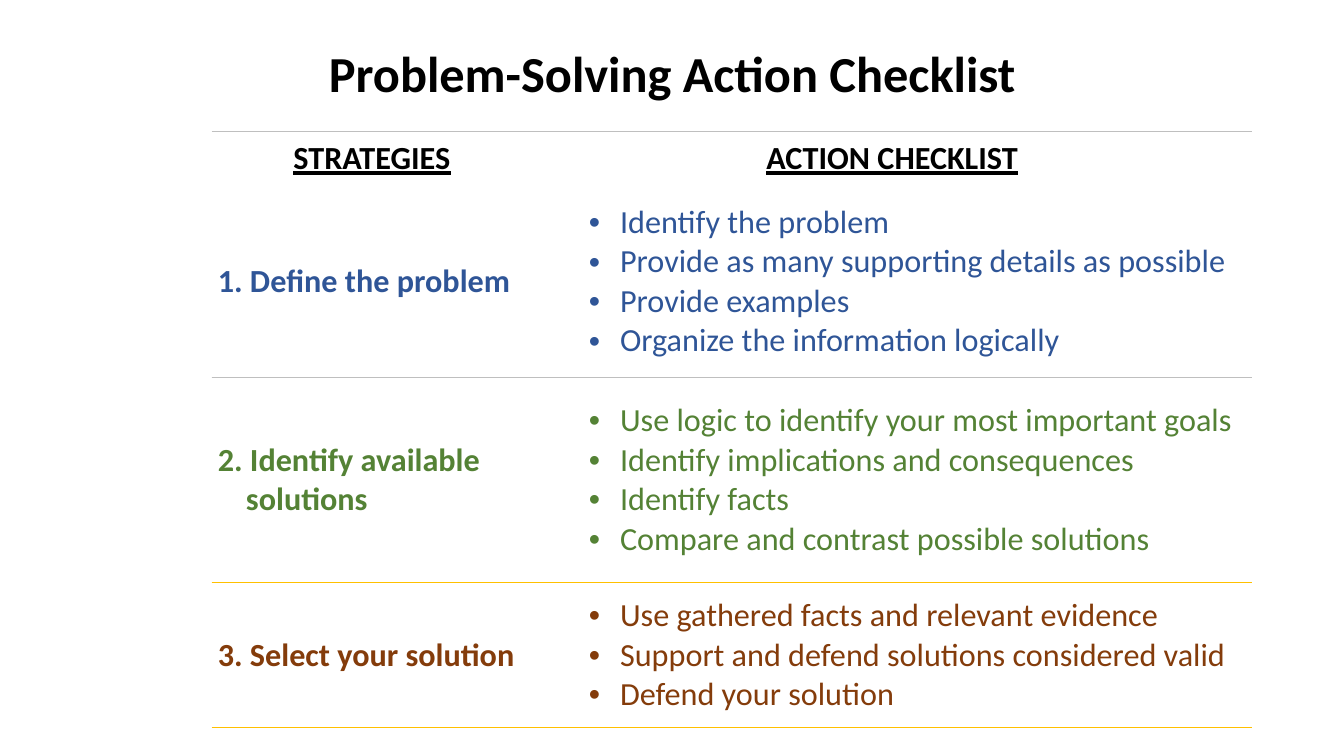
from dataclasses import dataclass

import pptx
import pptx.dml.color
import pptx.enum.text
import pptx.oxml
import pptx.oxml.ns
import pptx.slide
import pptx.table
import pptx.text.text
import pptx.util

Inches = pptx.util.Inches
PP_ALIGN = pptx.enum.text.PP_ALIGN
MIDDLE = pptx.enum.text.MSO_ANCHOR.MIDDLE
DRAWING_NS = pptx.oxml.ns.nsdecls("a")

FONT = "Calibri"
BLACK = "000000"
GOLD = "FFC000"
GRAY = "BFBFBF"
PLAIN_TABLE_STYLE = "{2D5ABB26-0587-4C30-8999-92F81FD0307C}"
TABLE_LEFT = 2.1
COLUMN_WIDTHS = (3.18, 7.14)
HEADING_HEIGHT = 0.55
HEADINGS = ("STRATEGIES", "ACTION CHECKLIST")


@dataclass(frozen=True)
class Rule:
    color: str
    points: float


@dataclass(frozen=True)
class Step:
    strategy: tuple[str, ...]
    actions: tuple[str, ...]
    color: str
    top: float
    height: float
    rule_above: Rule
    rule_below: Rule
    has_headings: bool = False


THIN_RULE = Rule(GRAY, 0.75)
GOLD_RULE = Rule(GOLD, 1)

STEPS = (
    Step(
        ("1. Define the problem",),
        (
            "Identify the problem",
            "Provide as many supporting details as possible",
            "Provide examples",
            "Organize the information logically",
        ),
        "2F5597", 1.3, 1.89, THIN_RULE, THIN_RULE, has_headings=True,
    ),
    Step(
        ("3. Select your solution",),
        (
            "Use gathered facts and relevant evidence",
            "Support and defend solutions considered valid",
            "Defend your solution",
        ),
        "843C0B", 5.78, 1.44, GOLD_RULE, GOLD_RULE,
    ),
    Step(
        ("2. Identify available", "solutions"),
        (
            "Use logic to identify your most important goals",
            "Identify implications and consequences",
            "Identify facts",
            "Compare and contrast possible solutions",
        ),
        "548235", 3.74, 2.04, THIN_RULE, GOLD_RULE,
    ),
)


def rgb(color: str) -> pptx.dml.color.RGBColor:
    return pptx.dml.color.RGBColor.from_string(color)


def style_font(paragraph: pptx.text.text._Paragraph, size: float, color: str,
               bold: bool, underline: bool = False) -> None:
    font = paragraph.font
    font.name = FONT
    font.size = pptx.util.Pt(size)
    font.bold = bold
    font.underline = underline
    font.color.rgb = rgb(color)


def indent(paragraph: pptx.text.text._Paragraph, left: float, first: float = 0) -> None:
    properties = paragraph._p.get_or_add_pPr()
    properties.set("marL", str(Inches(left)))
    properties.set("indent", str(Inches(first)))


def add_bullet(paragraph: pptx.text.text._Paragraph) -> None:
    paragraph.level = 1
    indent(paragraph, 0.81, -0.31)
    properties = paragraph._p.get_or_add_pPr()
    for xml in (f'<a:buFont {DRAWING_NS} typeface="Arial"/>',
                f'<a:buChar {DRAWING_NS} char="•"/>'):
        properties.append(pptx.oxml.parse_xml(xml))


def add_rule(cell: pptx.table._Cell, side: str, rule: Rule) -> None:
    cell._tc.get_or_add_tcPr().append(pptx.oxml.parse_xml(
        f'<a:{side} {DRAWING_NS} w="{pptx.util.Pt(rule.points)}"><a:solidFill>'
        f'<a:srgbClr val="{rule.color}"/></a:solidFill></a:{side}>'
    ))


def fill_cell(cell: pptx.table._Cell, lines: tuple[str, ...], color: str,
              bulleted: bool = False, heading: bool = False) -> None:
    cell.vertical_anchor = MIDDLE
    cell.margin_left = cell.margin_right = Inches(0.06)
    cell.margin_top = cell.margin_bottom = Inches(0.05)
    cell.text = "\n".join(lines)
    for index, paragraph in enumerate(cell.text_frame.paragraphs):
        if bulleted:
            add_bullet(paragraph)
        elif index > 0:
            indent(paragraph, 0.28)
        paragraph.alignment = PP_ALIGN.CENTER if heading else PP_ALIGN.LEFT
        style_font(paragraph, 23, color, bold=not bulleted, underline=heading)


def add_step(slide: pptx.slide.Slide, step: Step) -> None:
    heights = ((HEADING_HEIGHT,) if step.has_headings else ()) + (step.height,)
    frame = slide.shapes.add_table(
        len(heights), len(COLUMN_WIDTHS), Inches(TABLE_LEFT), Inches(step.top),
        Inches(sum(COLUMN_WIDTHS)), Inches(sum(heights)),
    )
    table = frame.table
    table.first_row = table.horz_banding = False
    table._tbl.tblPr.find(pptx.oxml.ns.qn("a:tableStyleId")).text = PLAIN_TABLE_STYLE
    for row, height in zip(table.rows, heights):
        row.height = Inches(height)

    last_row = len(heights) - 1
    for column, width in enumerate(COLUMN_WIDTHS):
        table.columns[column].width = Inches(width)
        add_rule(table.cell(0, column), "lnT", step.rule_above)
        add_rule(table.cell(last_row, column), "lnB", step.rule_below)
        if step.has_headings:
            fill_cell(table.cell(0, column), (HEADINGS[column],), BLACK, heading=True)
    fill_cell(table.cell(last_row, 0), step.strategy, step.color)
    fill_cell(table.cell(last_row, 1), step.actions, step.color, bulleted=True)
    for cell in table.iter_cells():
        cell.fill.background()


def add_title(slide: pptx.slide.Slide, text: str) -> None:
    title = slide.shapes.title
    title.left, title.top = Inches(0.92), Inches(0.4)
    title.width, title.height = Inches(11.5), Inches(0.72)
    title.text_frame.text = text
    title.text_frame.vertical_anchor = MIDDLE
    heading = title.text_frame.paragraphs[0]
    heading.alignment = PP_ALIGN.CENTER
    heading.line_spacing = 0.9
    style_font(heading, 36, BLACK, bold=True)


def main() -> None:
    presentation = pptx.Presentation()
    presentation.slide_width = Inches(13.33)
    presentation.slide_height = Inches(7.5)
    slide = presentation.slides.add_slide(presentation.slide_layouts[5])
    add_title(slide, "Problem-Solving Action Checklist")
    for step in STEPS:
        add_step(slide, step)
    presentation.save("out.pptx")


if __name__ == "__main__":
    main()
